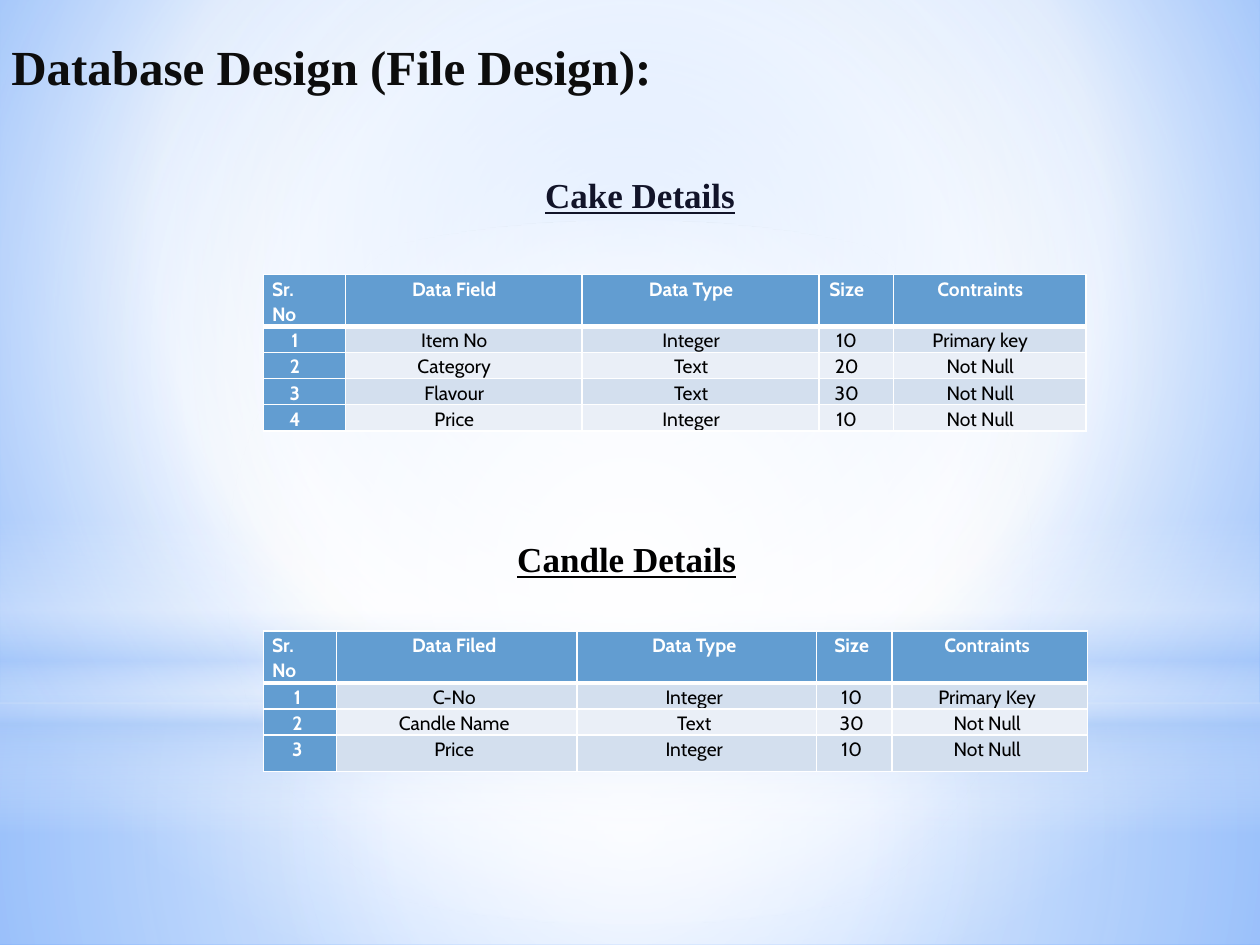
from lxml import etree
from pptx import Presentation
from pptx import util as u
from pptx.dml.color import RGBColor
from pptx.enum import shapes, text
from pptx.oxml import parse_xml
from pptx.oxml.ns import nsdecls, qn


def color(value):
    return RGBColor.from_string(value)


def paint_gradient(fill, holder, stops, focus=None):
    fill.background()
    marks = "".join(
        f'<a:gs pos="{pos * 1000}"><a:srgbClr val="{value}">'
        f'<a:alpha val="{alpha * 1000}"/></a:srgbClr></a:gs>'
        for pos, value, alpha in stops
    )
    direction = '<a:lin ang="5400000" scaled="0"/>'
    if focus:
        sides = " ".join(f'{side}="{part * 1000}"' for side, part in zip("ltrb", focus))
        direction = f'<a:path path="circle"><a:fillToRect {sides}/></a:path>'
    gradient = parse_xml(
        f'<a:gradFill {nsdecls("a")} rotWithShape="1">'
        f"<a:gsLst>{marks}</a:gsLst>{direction}</a:gradFill>"
    )
    holder.replace(holder.find(qn("a:noFill")), gradient)


WHITE, BLACK, BLUE, PALE = "FFFFFF", "000000", "629DD1", "ACCBF9"
BANDS = ["D3DFEE", "EAEFF7"]
CENTER = (50, 50, 50, 50)

deck = Presentation()
deck.slide_width, deck.slide_height = u.Inches(10), u.Inches(7.5)
slide = deck.slides.add_slide(deck.slide_layouts[5])

background = slide.background
background.fill.background()
paint_gradient(
    background.fill,
    slide.element.find(".//" + qn("p:bgPr")),
    [(0, "95C0FF", 100), (60, WHITE, 100), (100, "5599FF", 100)],
    (20, 10, 20, 60),
)

RECTANGLE, OVAL = shapes.MSO_SHAPE.RECTANGLE, shapes.MSO_SHAPE.OVAL
glows = [
    (RECTANGLE, 5.58, 1.92, [(0, WHITE, 91), (37, WHITE, 76), (100, PALE, 79)], CENTER),
    (RECTANGLE, 0, 5.58, [(0, WHITE, 89), (48, WHITE, 62), (100, PALE, 79)], CENTER),
    (RECTANGLE, 4.12, 2.5, [(0, WHITE, 0), (29, WHITE, 30), (45, PALE, 40),
                            (55, WHITE, 26), (65, PALE, 60), (100, WHITE, 0)], None),
    (OVAL, 1.75, 5.58, [(0, WHITE, 100), (56, WHITE, 0)], CENTER),
]
for kind, top, height, stops, focus in glows:
    glow = slide.shapes.add_shape(kind, 0, u.Inches(top), u.Inches(10), u.Inches(height))
    glow.shadow.inherit = False
    glow.line.fill.background()
    paint_gradient(glow.fill, glow.element.spPr, stops, focus)

title = slide.shapes.title
title.element.getparent().append(title.element)
title.left, title.top = u.Inches(-0.01), u.Inches(0.24)
title.width, title.height = u.Inches(7.12), u.Inches(1.25)
title.text_frame.text = "Database Design (File Design):"
title.text_frame.vertical_anchor = text.MSO_ANCHOR.TOP
para = title.text_frame.paragraphs[0]
para.alignment = text.PP_ALIGN.LEFT
para.font.name, para.font.size, para.font.bold = "Times New Roman", u.Pt(28), True
para.font.color.rgb = color("0D0D0D")

headings = [
    ("Cake Details", 0.55, 1.33, 9.06, 0.77, "121429"),
    ("Candle Details", 0.25, 4.22, 9.45, 0.44, BLACK),
]
for words, left, top, width, height, ink in headings:
    box = slide.shapes.add_textbox(*map(u.Inches, (left, top, width, height)))
    box.text_frame.word_wrap = True
    box.text_frame.text = words
    para = box.text_frame.paragraphs[0]
    para.alignment = text.PP_ALIGN.CENTER
    para.font.name, para.font.size = "Times New Roman", u.Pt(20)
    para.font.bold = para.font.underline = True
    para.font.color.rgb = color(ink)

cake_rows = [
    ["Sr. No", "Data Field", "Data Type", "Size", "Contraints"],
    ["1", "Item No", "Integer", "10", "Primary key"],
    ["2", "Category", "Text", "20", "Not Null"],
    ["3", "Flavour", "Text", "30", "Not Null"],
    ["4", "Price", "Integer", "10", "Not Null"],
]
candle_rows = [
    ["Sr. No", "Data Filed", "Data Type", "Size", "Contraints"],
    ["1", "C-No", "Integer", "10", "Primary Key"],
    ["2", "Candle Name", "Text", "30", "Not Null"],
    ["3", "Price", "Integer", "10", "Not Null"],
]
tables = [
    (cake_rows, 2.18, [0.65, 1.88, 1.88, 0.59, 1.53], [0.41, 0.2, 0.21, 0.2, 0.21], 0.22),
    (candle_rows, 5.01, [0.58, 1.91, 1.9, 0.6, 1.55], [0.41, 0.2, 0.2, 0.29], 0.11),
]
for rows, top, widths, heights, right_margin in tables:
    frame = slide.shapes.add_table(
        len(rows), len(widths), u.Inches(2.09), u.Inches(top),
        u.Inches(sum(widths)), u.Inches(sum(heights)),
    )
    table = frame.table
    for column, width in zip(table.columns, widths):
        column.width = u.Inches(width)
    for row, height in zip(table.rows, heights):
        row.height = u.Inches(height)
    for r, values in enumerate(rows):
        for c, value in enumerate(values):
            cell = table.cell(r, c)
            corner = r == 0 and c == 0
            label = r == 0 or c == 0
            cell.margin_left, cell.margin_top = u.Inches(0.07), u.Inches(0.01)
            cell.margin_right = u.Inches(0.25 if corner else right_margin)
            cell.margin_bottom = 0
            properties = cell._tc.get_or_add_tcPr()
            for side in "LRTB":
                thick = (r, side) in [(0, "B"), (1, "T")]
                line = etree.SubElement(properties, qn(f"a:ln{side}"), w=str(u.Pt(3 if thick else 1)))
                solid = etree.SubElement(line, qn("a:solidFill"))
                etree.SubElement(solid, qn("a:srgbClr"), val=WHITE)
            cell.fill.solid()
            cell.fill.fore_color.rgb = color(BLUE if label else BANDS[(r - 1) % 2])
            cell.text = value
            para = cell.text_frame.paragraphs[0]
            para.alignment = text.PP_ALIGN.LEFT if corner else text.PP_ALIGN.CENTER
            para.line_spacing = 1.07
            para.font.name, para.font.size, para.font.bold = "Cabin", u.Pt(11), label
            para.font.color.rgb = color(WHITE if label else BLACK)

deck.save("out.pptx")
